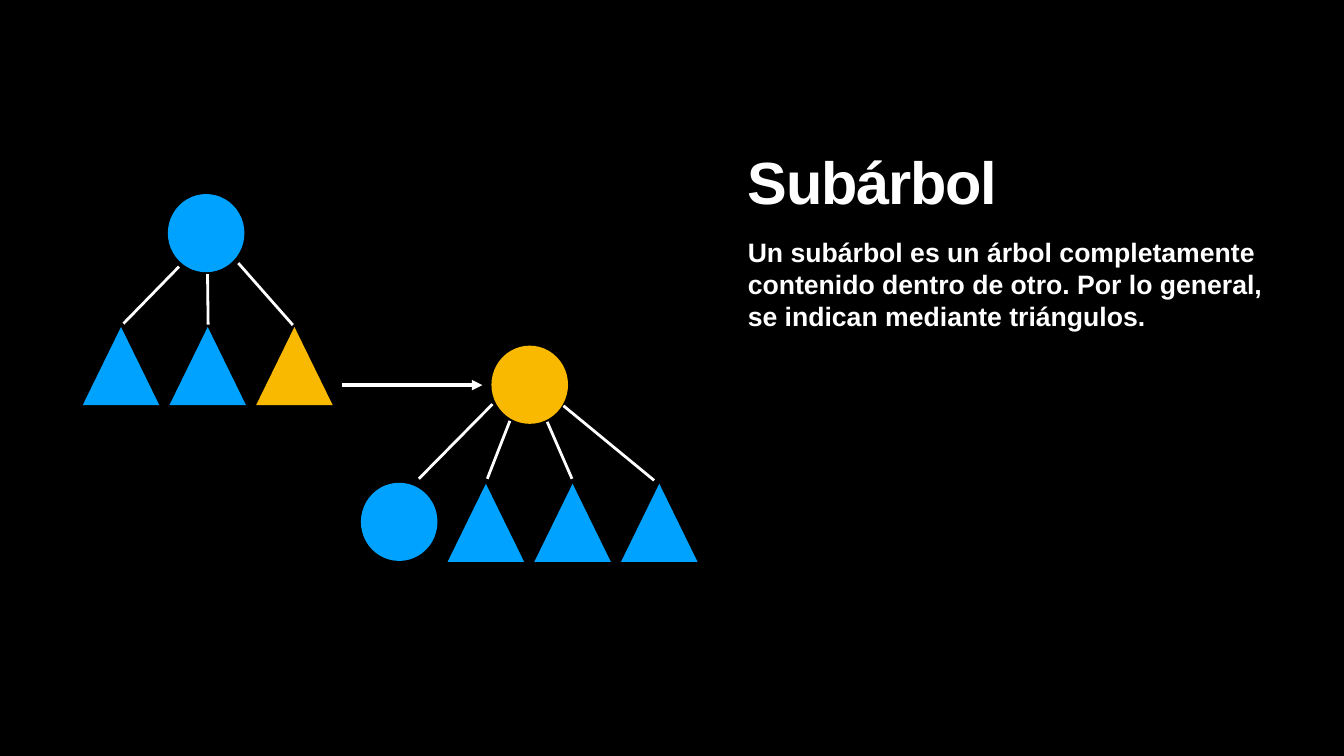
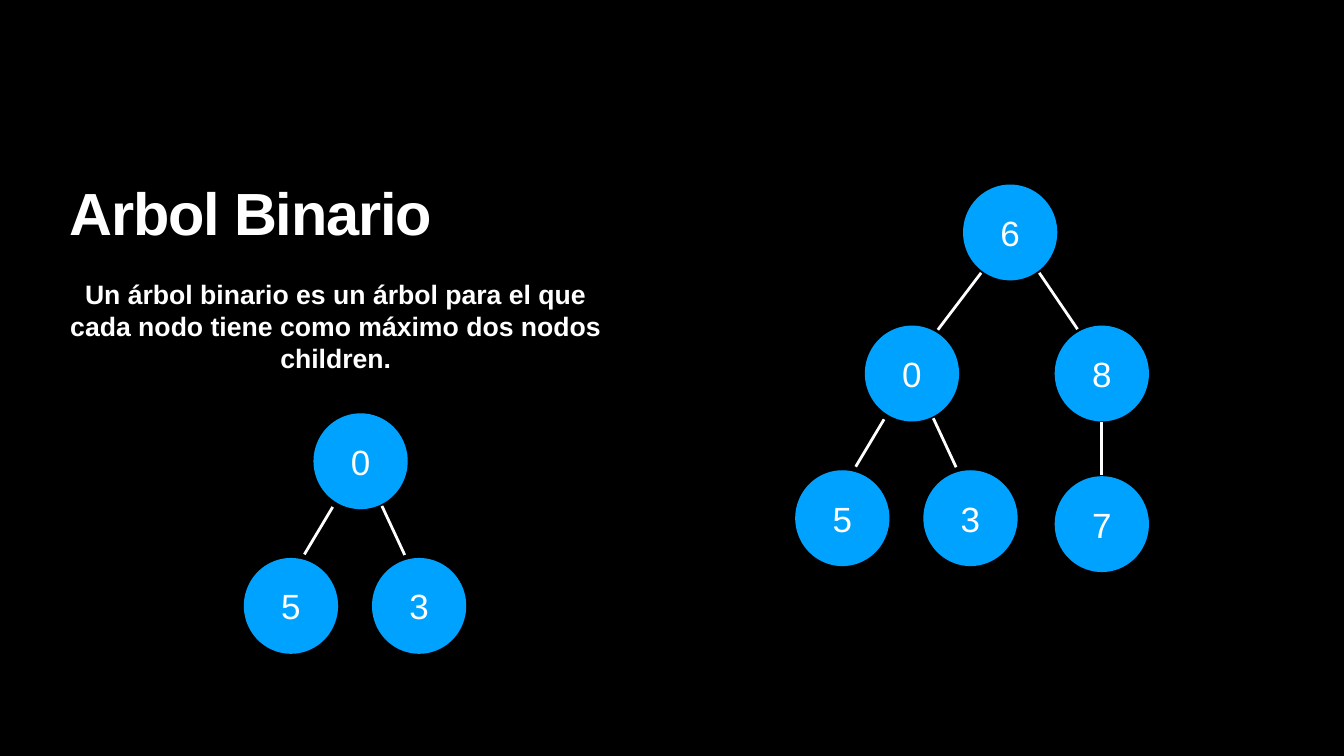
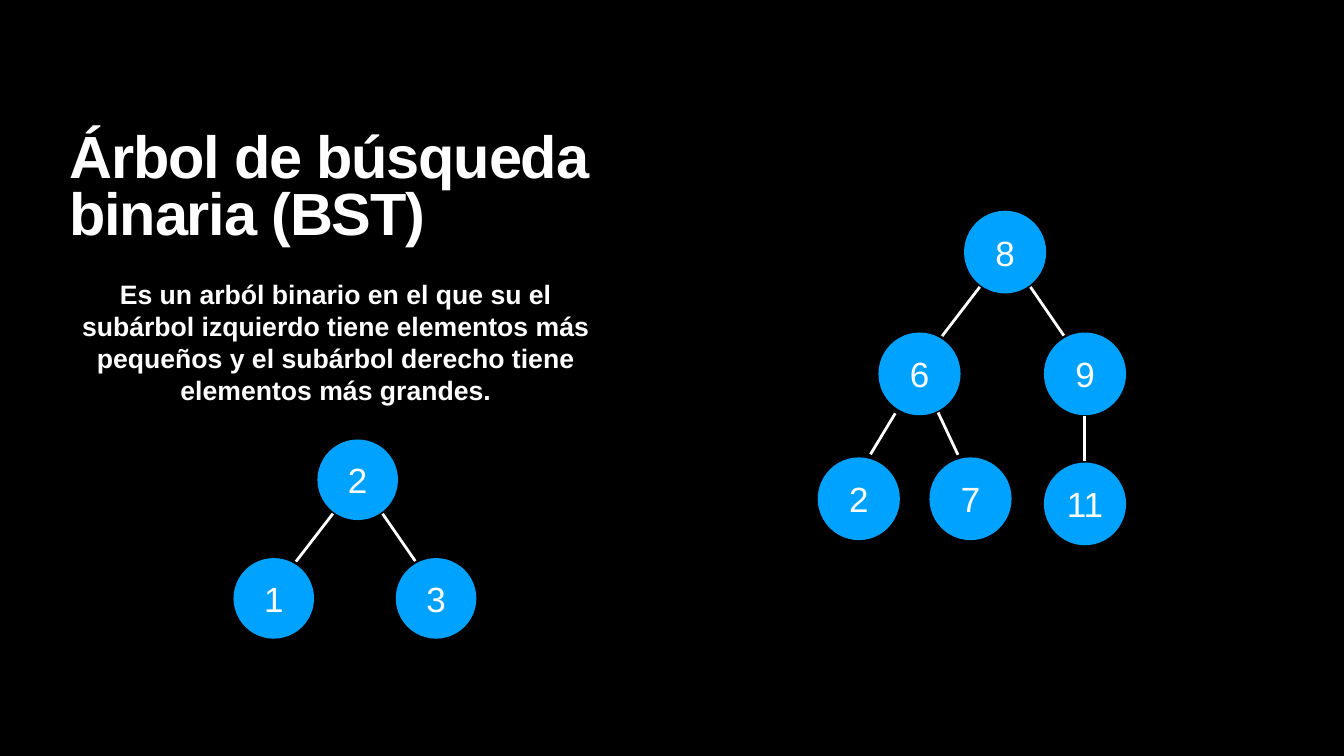
from dataclasses import dataclass
from typing import NamedTuple

from pptx import Presentation
from pptx import util as u
from pptx.dml.color import RGBColor
from pptx.enum import shapes, text
from pptx.oxml.ns import qn
from lxml import etree

BLACK, WHITE, BLUE, AMBER = "000000", "FFFFFF", "00A2FF", "F9B900"
FONT = "Arial"
INSET = 0.15
LEFT, CENTER = text.PP_ALIGN.LEFT, text.PP_ALIGN.CENTER
CIRCLE = shapes.MSO_SHAPE.OVAL
TRIANGLE = shapes.MSO_SHAPE.ISOSCELES_TRIANGLE


class Point(NamedTuple):
    x: float
    y: float


class Size(NamedTuple):
    w: float
    h: float


class Edge(NamedTuple):
    start: Point
    end: Point


class Branch(NamedTuple):
    child: Point
    edge: Edge


@dataclass(frozen=True)
class Node:
    label: str
    children: tuple[tuple[Branch, "Node"], ...] = ()


@dataclass(frozen=True)
class Tree:
    root: Node
    at: Point
    size: Size


@dataclass(frozen=True)
class Mark:
    kind: int
    at: Point
    color: str = BLUE


@dataclass(frozen=True)
class Copy:
    title: str
    body: str
    title_at: Point
    body_at: Point
    body_align: int


TEXT_W, TITLE_H, BODY_H = 27.15, 9.09, 7.48
BASE = Size(4.75, 4.83)
MARK = Size(3.86, 3.94)
MARK_STEP = 4.37

WIDE_LEFT = Branch(Point(-4.95, 7.11), Edge(Point(-1.27, 7.32), Point(0.91, 4.45)))
WIDE_RIGHT = Branch(Point(4.62, 7.11), Edge(Point(5.77, 7.29), Point(3.84, 4.45)))
NEAR_LEFT = Branch(Point(-3.51, 7.29), Edge(Point(-0.46, 7.11), Point(0.97, 4.72)))
NEAR_RIGHT = Branch(Point(2.95, 7.29), Edge(Point(4.6, 7.14), Point(3.45, 4.67)))
BELOW = Branch(Point(0, 7.59), Edge(Point(2.36, 7.52), Point(2.36, 4.88)))


def rgb(color: str) -> RGBColor:
    return RGBColor.from_string(color)


def set_frame(tf, anchor) -> None:
    tf.word_wrap = True
    tf.auto_size = text.MSO_AUTO_SIZE.NONE
    tf.vertical_anchor = anchor
    tf.margin_left = tf.margin_right = tf.margin_top = tf.margin_bottom = u.Cm(INSET)


def set_text(tf, words: str, size: int, align, anchor, bold: bool = True):
    set_frame(tf, anchor)
    p = tf.paragraphs[0]
    p.text = words
    p.alignment = align
    p.font.name, p.font.size, p.font.bold = FONT, u.Pt(size), bold
    p.font.color.rgb = rgb(WHITE)
    return p


def add_mark(group, kind, at: Point, size: Size, color: str = BLUE):
    sp = group.shapes.add_shape(kind, *map(u.Cm, at + size))
    sp.shadow.inherit = False
    sp.fill.solid()
    sp.fill.fore_color.rgb = rgb(color)
    sp.line.fill.background()
    return sp


def add_edge(group, edge: Edge, width: float = 4, arrow: bool = False) -> None:
    line = group.shapes.add_connector(
        shapes.MSO_CONNECTOR.STRAIGHT, *map(u.Cm, edge.start + edge.end))
    line.line.color.rgb = rgb(WHITE)
    line.line.width = u.Pt(width)
    sp_pr = line._element.spPr
    if arrow:
        etree.SubElement(sp_pr.find(qn("a:ln")), qn("a:tailEnd"), type="triangle")
    etree.SubElement(sp_pr, qn("a:effectLst"))


def add_node(group, node: Node, at: Point, size: Size) -> None:
    def place(offset: Point) -> Point:
        return Point(at.x + offset.x * size.w / BASE.w, at.y + offset.y * size.h / BASE.h)

    sp = add_mark(group, CIRCLE, at, size)
    set_text(sp.text_frame, node.label, 50, CENTER, text.MSO_ANCHOR.MIDDLE, bold=False)
    for branch, child in node.children:
        add_node(group, child, place(branch.child), size)
        add_edge(group, Edge(*map(place, branch.edge)))


def add_slide(prs, copy: Copy):
    s = prs.slides.add_slide(prs.slide_layouts[5])
    title = s.shapes.title
    title.left, title.top = map(u.Cm, copy.title_at)
    title.width, title.height = u.Cm(TEXT_W), u.Cm(TITLE_H)
    p = set_text(title.text_frame, copy.title, 85, LEFT, text.MSO_ANCHOR.BOTTOM)
    p.line_spacing = 0.8
    p._p.get_or_add_pPr().get_or_add_defRPr().set("spc", "-170")
    body = s.shapes.add_textbox(*map(u.Cm, copy.body_at + Size(TEXT_W, BODY_H)))
    set_text(body.text_frame, copy.body, 38, copy.body_align, text.MSO_ANCHOR.TOP)
    return s


def add_tree_slide(prs, copy: Copy, trees: list[Tree]) -> None:
    s = add_slide(prs, copy)
    for tree in trees:
        add_node(s.shapes.add_group_shape(), tree.root, tree.at, tree.size)


def mark_row(left: float, top: float, colors: list[str]) -> list[Mark]:
    return [Mark(TRIANGLE, Point(left + i * MARK_STEP, top), color)
            for i, color in enumerate(colors)]


def add_subtree_slide(prs, copy: Copy) -> None:
    group = add_slide(prs, copy).shapes.add_group_shape()
    marks = [
        Mark(CIRCLE, Point(8.46, 9.78)),
        *mark_row(4.17, 16.48, [BLUE, BLUE, AMBER]),
        Mark(CIRCLE, Point(24.77, 17.42), AMBER),
        Mark(CIRCLE, Point(18.19, 24.33)),
        *mark_row(18.19 + MARK_STEP, 24.38, [BLUE] * 3),
    ]
    edges = [
        Edge(Point(6.22, 16.31), Point(9.02, 13.44)),
        Edge(Point(10.49, 16.36), Point(10.46, 13.82)),
        Edge(Point(14.76, 16.38), Point(12.01, 13.26)),
        Edge(Point(21.11, 24.13), Point(24.82, 20.37)),
        Edge(Point(24.56, 24.13), Point(25.7, 21.21)),
        Edge(Point(28.83, 24.13), Point(27.58, 21.26)),
        Edge(Point(32.97, 24.21), Point(28.4, 20.45)),
    ]
    for mark in marks:
        add_mark(group, mark.kind, mark.at, MARK, mark.color)
    for edge in edges:
        add_edge(group, edge)
    add_edge(group, Edge(Point(17.22, 19.41), Point(24.31, 19.41)), 5, arrow=True)


def pair(root: str, left: str, right: str, branches=(NEAR_LEFT, NEAR_RIGHT)) -> Node:
    return Node(root, tuple(zip(branches, (Node(left), Node(right)))))


def full_tree(root: str, left: Node, right: str, leaf: str) -> Node:
    right_node = Node(right, ((BELOW, Node(leaf)),))
    return Node(root, ((WIDE_LEFT, left), (WIDE_RIGHT, right_node)))


def main() -> None:
    prs = Presentation()
    prs.slide_width, prs.slide_height = u.Cm(67.74), u.Cm(38.1)
    background = prs.slide_master.background.fill
    background.solid()
    background.fore_color.rgb = rgb(BLACK)

    add_subtree_slide(prs, Copy(
        "Subárbol",
        "Un subárbol es un árbol completamente contenido dentro de otro. "
        "Por lo general, se indican mediante triángulos.",
        Point(37.54, 1.93), Point(37.54, 11.73), LEFT))

    title_at, body_at = Point(3.35, 3.53), Point(3.35, 13.87)
    add_tree_slide(prs, Copy(
        "Arbol Binario",
        "Un árbol binario es un árbol para el que cada nodo tiene como máximo "
        "dos nodos children.",
        title_at, body_at, CENTER), [
        Tree(full_tree("6", pair("0", "5", "3"), "8", "7"), Point(48.54, 9.3), BASE),
        Tree(pair("0", "5", "3"), Point(15.8, 20.83), BASE),
    ])
    add_tree_slide(prs, Copy(
        "Árbol de búsqueda binaria (BST)",
        "Es un arból binario en el que su el subárbol izquierdo tiene elementos "
        "más pequeños y el subárbol derecho tiene elementos más grandes.",
        title_at, body_at, CENTER), [
        Tree(pair("2", "1", "3", (WIDE_LEFT, WIDE_RIGHT)), Point(16, 22.15), Size(4.06, 4.06)),
        Tree(full_tree("8", pair("6", "2", "7"), "9", "11"), Point(48.59, 10.62),
             Size(4.14, 4.17)),
    ])
    prs.save("out.pptx")


if __name__ == "__main__":
    main()
